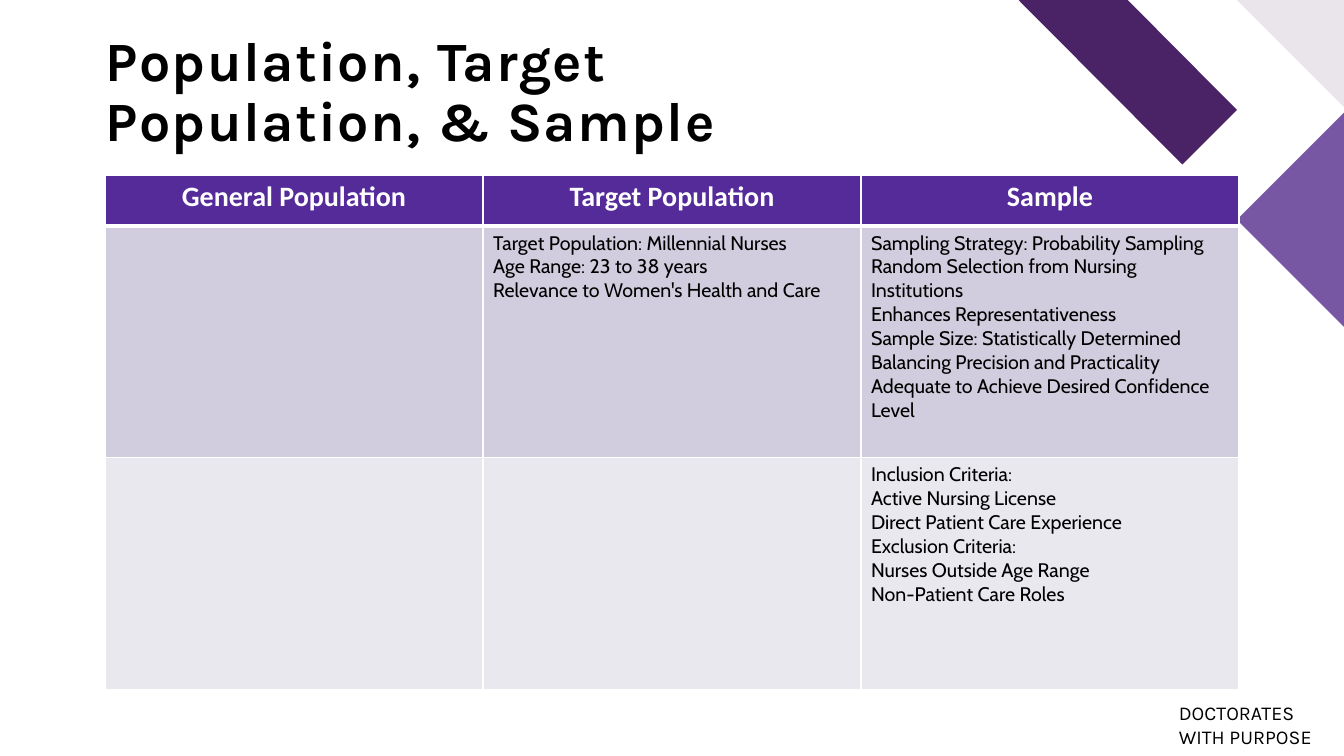
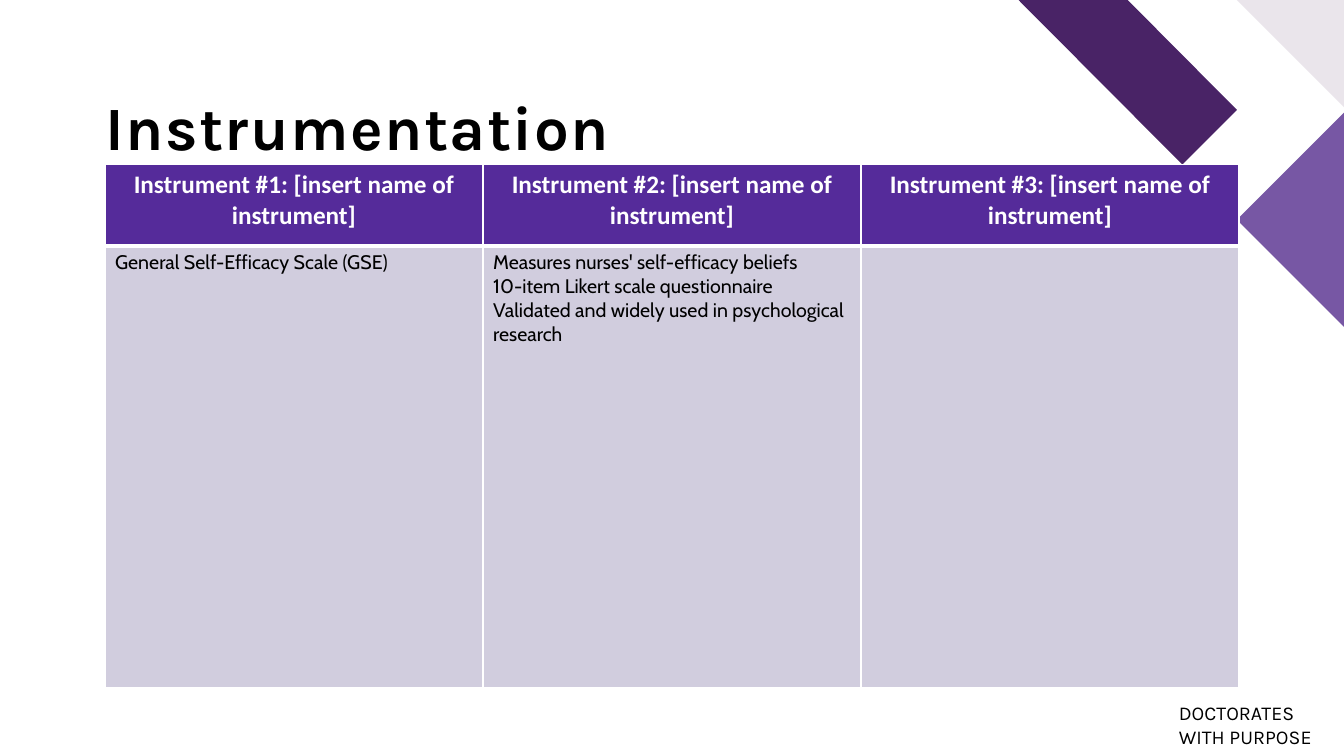
from lxml import etree
from pptx import Presentation
from pptx.dml.color import RGBColor
from pptx.enum.text import MSO_ANCHOR as Anchor, PP_ALIGN as Align
from pptx.oxml.ns import qn
from pptx.util import Pt

WHITE, BLACK = "FFFFFF", "000000"
HEADER_FILL = "552B9A"
BODY_FILLS = ("D1CDDE", "E9E8EF")
TITLE_FONT, HEADER_FONT, BODY_FONT = "Karla", "Calibri", "Cabin"
TABLE_LEFT, COLUMN_WIDTH = 75, 270
THIN, THICK = 1, 3

# Corner decoration: fill and outline points
CORNER_SHAPES = (
    ("492366", [(727.5, 0), (805.5, 0), (883.5, 78.5), (844.5, 117.5)]),
    ("EAE5EB", [(883.5, 0), (960, 0), (960, 76.5)]),
    ("7757A4", [(960, 233.5), (883.5, 157), (960, 80.5)]),
)

POPULATION_ROWS = [
    ["General Population", "Target Population", "Sample"],
    [
        "",
        "Target Population: Millennial Nurses\n"
        "Age Range: 23 to 38 years\n"
        "Relevance to Women's Health and Care",
        "Sampling Strategy: Probability Sampling\n"
        "Random Selection from Nursing Institutions\n"
        "Enhances Representativeness\n"
        "Sample Size: Statistically Determined\n"
        "Balancing Precision and Practicality\n"
        "Adequate to Achieve Desired Confidence Level",
    ],
    [
        "",
        "",
        "Inclusion Criteria:\n"
        "Active Nursing License\n"
        "Direct Patient Care Experience\n"
        "Exclusion Criteria:\n"
        "Nurses Outside Age Range\n"
        "Non-Patient Care Roles",
    ],
]

INSTRUMENT_ROWS = [
    [f"Instrument #{number}: [insert name of instrument]" for number in (1, 2, 3)],
    [
        "General Self-Efficacy Scale (GSE)",
        "Measures nurses' self-efficacy beliefs\n"
        "10-item Likert scale questionnaire\n"
        "Validated and widely used in psychological research",
        "",
    ],
]


def color(value):
    return RGBColor.from_string(value)


def set_font(paragraph, name, size, fill, bold=False):
    font = paragraph.font
    font.name, font.size, font.bold = name, Pt(size), bold
    font.color.rgb = color(fill)


def add_corner(page):
    for fill, points in CORNER_SHAPES:
        corners = [(Pt(x), Pt(y)) for x, y in points]
        builder = page.shapes.build_freeform(*corners[0])
        builder.add_line_segments(corners[1:], close=True)
        shape = builder.convert_to_shape()
        shape.shadow.inherit = False
        shape.fill.solid()
        shape.fill.fore_color.rgb = color(fill)
        shape.line.fill.background()


def add_text(page, text, left, top, width, height, size, bold=False, anchor=Anchor.TOP):
    box = page.shapes.add_textbox(Pt(left), Pt(top), Pt(width), Pt(height))
    frame = box.text_frame
    frame.margin_left = frame.margin_top = frame.margin_right = frame.margin_bottom = 0
    frame.word_wrap = True
    frame.vertical_anchor = anchor
    frame.text = text
    paragraph = frame.paragraphs[0]
    set_font(paragraph, TITLE_FONT, size, BLACK, bold)
    return paragraph


def add_title(page, text, top, width, size):
    paragraph = add_text(page, text, 75.5, top, width, 48, size, True, Anchor.BOTTOM)
    paragraph.line_spacing = 0.9
    # Letter spacing of one point
    paragraph.runs[0]._r.get_or_add_rPr().set("spc", "100")


def set_borders(cell, top, bottom):
    """Draw white cell borders; the side borders are always thin."""
    properties = cell._tc.get_or_add_tcPr()
    sides = (("a:lnL", THIN), ("a:lnR", THIN), ("a:lnT", top), ("a:lnB", bottom))
    for index, (tag, width) in enumerate(sides):
        line = etree.Element(qn(tag), w=str(Pt(width)))
        fill = etree.SubElement(line, qn("a:solidFill"))
        etree.SubElement(fill, qn("a:srgbClr"), val=WHITE)
        properties.insert(index, line)


def fill_cell(cell, text, row, header_size):
    is_header = row == 0
    cell.text = text
    for paragraph in cell.text_frame.paragraphs:
        if is_header:
            paragraph.alignment = Align.CENTER
            set_font(paragraph, HEADER_FONT, header_size, WHITE, True)
        else:
            set_font(paragraph, BODY_FONT, 14, BLACK)
    cell.fill.solid()
    cell.fill.fore_color.rgb = color(HEADER_FILL if is_header else BODY_FILLS[row - 1])
    set_borders(cell, THICK if row == 1 else THIN, THICK if is_header else THIN)


def add_grid(page, rows, top, heights, header_size):
    columns = len(rows[0])
    table = page.shapes.add_table(
        len(rows), columns, Pt(TABLE_LEFT), Pt(top),
        Pt(COLUMN_WIDTH * columns), Pt(sum(heights)),
    ).table
    table.horz_banding = False
    for column in table.columns:
        column.width = Pt(COLUMN_WIDTH)
    for row, (texts, height) in enumerate(zip(rows, heights)):
        table.rows[row].height = Pt(height)
        for column, text in enumerate(texts):
            fill_cell(table.cell(row, column), text, row, header_size)


def add_page(deck):
    """Add a slide with the shared corner decoration and footer."""
    page = deck.slides.add_slide(deck.slide_layouts[6])
    add_corner(page)
    add_text(page, "DOCTORATES WITH PURPOSE", 842, 501, 103.5, 26.5, 14)
    return page


def main():
    deck = Presentation()
    deck.slide_width, deck.slide_height = Pt(960), Pt(540)

    page = add_page(deck)
    add_title(page, "Population, Target Population, & Sample", 61.5, 449.5, 39.6)
    add_grid(page, POPULATION_ROWS, 125, [36.5, 165.5, 165.5], 20)

    page = add_page(deck)
    add_title(page, "Instrumentation", 69, 389, 44)
    add_grid(page, INSTRUMENT_ROWS, 117.5, [58, 315.5], 18)

    deck.save("out.pptx")


if __name__ == "__main__":
    main()
